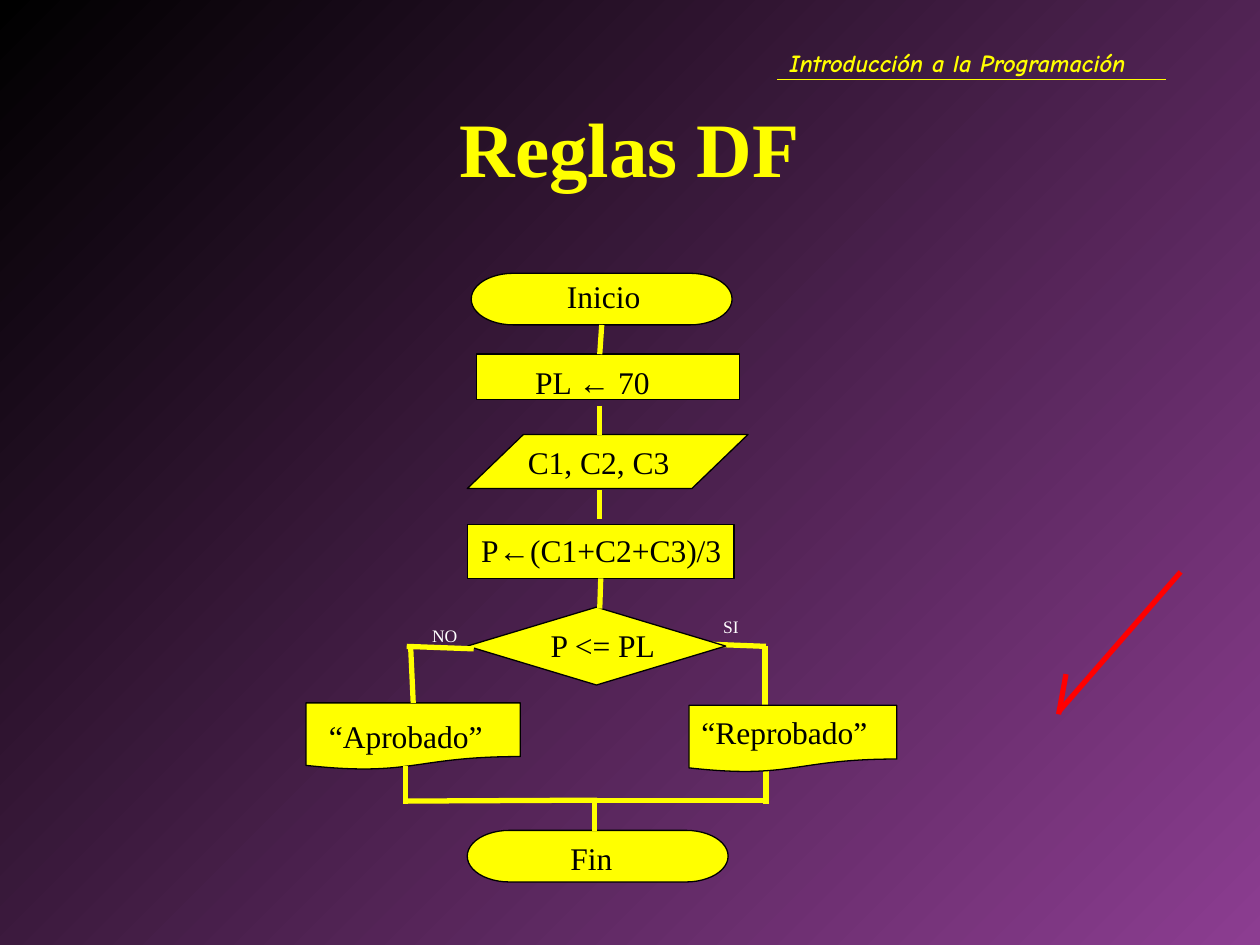
import pptx
import pptx.util
import pptx.dml.color
import pptx.enum.shapes
import pptx.enum.text
import pptx.oxml
import pptx.oxml.ns

Cm, Pt = pptx.util.Cm, pptx.util.Pt
Shape = pptx.enum.shapes.MSO_SHAPE
COLOURS = {
    name: pptx.dml.color.RGBColor.from_string(value)
    for name, value in {
        "yellow": "FFFF00", "black": "000000", "purple": "8C3D91",
        "white": "FFFFFF", "red": "FF0000",
    }.items()
}
SERIF = "Times New Roman"
TITLE = {"name": SERIF, "size": Pt(44), "bold": True}
HEADER = {"name": "Comic Neue", "size": Pt(14), "bold": True, "italic": True}
STEP = {"name": SERIF, "size": Pt(18)}
BRANCH = {"name": SERIF, "size": Pt(10)}


def write(frame, text, style, colour):
    """Fill a text frame, setting any arrow sign in Arial."""
    para = frame.paragraphs[0]
    for part in filter(None, text.partition("←")):
        span = para.add_run()
        span.text = part
        for name, value in style.items():
            setattr(span.font, name, value)
        if part == "←":
            span.font.name = "Arial"
        span.font.color.rgb = COLOURS[colour]


def draw_line(x1, y1, x2, y2, colour="yellow", width=3):
    line = page.shapes.add_connector(
        pptx.enum.shapes.MSO_CONNECTOR.STRAIGHT, Cm(x1), Cm(y1), Cm(x2), Cm(y2))
    line.line.color.rgb = COLOURS[colour]
    line.line.width = Pt(width)
    line._element.spPr.append(pptx.oxml.parse_xml(
        "<a:effectLst %s/>" % pptx.oxml.ns.nsdecls("a")))
    return line


deck = pptx.Presentation()
deck.slide_width, deck.slide_height = Cm(25.4), Cm(19.05)
page = deck.slides.add_slide(deck.slide_layouts[5])

# Diagonal background
background = page.background.fill
background.gradient()
background.gradient_angle = 315
for stop, colour, position in zip(background.gradient_stops, ("black", "purple"), (0, 1)):
    stop.color.rgb = COLOURS[colour]
    stop.position = position

# Title
title = page.shapes.title
title.left, title.top, title.width, title.height = Cm(1.9), Cm(1.7), Cm(21.59), Cm(2.51)
title.text_frame.vertical_anchor = pptx.enum.text.MSO_ANCHOR.MIDDLE
title.text_frame.paragraphs[0].alignment = pptx.enum.text.PP_ALIGN.CENTER
write(title.text_frame, "Reglas DF", TITLE, "yellow")

# Header rule and the "SI" branch, which lies behind the steps
draw_line(15.67, 1.6, 23.5, 1.6, width=0.75)
for ends in [
    (15.42, 13.03, 15.42, 14.22),
    (14.15, 12.98, 15.44, 13.03),
    (15.44, 15.49, 15.44, 16.21),
]:
    draw_line(*ends)

# Flowchart steps: outline, left, top, width, height
steps = {}
for name, outline, left, top, width, height in [
    ("start", Shape.FLOWCHART_TERMINATOR, 9.5, 5.51, 5.26, 1.04),
    ("limit", Shape.RECTANGLE, 9.6, 7.14, 5.31, 0.91),
    ("input", Shape.FLOWCHART_DATA, 9.42, 8.76, 5.66, 1.09),
    ("average", Shape.FLOWCHART_PROCESS, 9.42, 10.57, 5.38, 1.09),
    ("decision", Shape.FLOWCHART_DECISION, 9.42, 12.24, 5.21, 1.57),
    ("passed", Shape.FLOWCHART_DOCUMENT, 6.17, 14.17, 4.32, 1.35),
    ("failed", Shape.FLOWCHART_DOCUMENT, 13.89, 14.22, 4.19, 1.35),
    ("end", Shape.FLOWCHART_TERMINATOR, 9.42, 16.74, 5.26, 1.04),
]:
    step = page.shapes.add_shape(outline, Cm(left), Cm(top), Cm(width), Cm(height))
    step.shadow.inherit = False
    step.fill.solid()
    step.fill.fore_color.rgb = COLOURS["yellow"]
    step.line.color.rgb = COLOURS["black"]
    step.line.width = Pt(0.75)
    steps[name] = step

# Main flow
flow = [draw_line(12.09, top, 12.09, bottom) for top, bottom in
        [(6.53, 7.14), (8.18, 8.76), (9.88, 10.46), (11.68, 12.27)]]
flow[0].begin_connect(steps["start"], 2)
flow[3].begin_connect(steps["average"], 2)

# "NO" branch and the join before the end
draw_line(8.28, 13.08, 8.28, 14.17).end_connect(steps["passed"], 0)
for ends in [
    (8.2, 13.03, 9.55, 13.08),
    (8.18, 15.44, 8.18, 16.21),
    (8.13, 16.15, 12.04, 16.13),
    (11.71, 16.13, 15.44, 16.13),
    (11.99, 16.18, 11.99, 16.76),
]:
    draw_line(*ends)

# Header, step and branch texts
for text, left, top, width, height, style, colour in [
    ("Introducción a la Programación", 15.67, 0.84, 8.26, 0.86, HEADER, "yellow"),
    ("Inicio", 11.18, 5.46, 3.23, 1.02, STEP, "black"),
    ("PL ← 70", 10.54, 7.19, 3.68, 1.02, STEP, "black"),
    ("C1, C2, C3", 10.39, 8.81, 3.68, 1.02, STEP, "black"),
    ("P←(C1+C2+C3)/3", 9.45, 10.59, 5.44, 1.02, STEP, "black"),
    ("P <= PL", 10.85, 12.5, 3.68, 1.02, STEP, "black"),
    ("“Aprobado”", 6.38, 14.33, 3.86, 1.02, STEP, "black"),
    ("“Reprobado”", 13.89, 14.25, 4.09, 1.02, STEP, "black"),
    ("Fin", 11.25, 16.79, 3.23, 1.02, STEP, "black"),
    ("NO", 8.46, 12.47, 1.19, 0.69, BRANCH, "white"),
    ("SI", 14.33, 12.29, 1.19, 0.69, BRANCH, "white"),
]:
    box = page.shapes.add_textbox(Cm(left), Cm(top), Cm(width), Cm(height))
    box.text_frame.word_wrap = True
    box.text_frame.auto_size = pptx.enum.text.MSO_AUTO_SIZE.SHAPE_TO_FIT_TEXT
    write(box.text_frame, text, style, colour)

# Red tick
draw_line(21.34, 14.35, 23.8, 11.53, "red")
draw_line(21.49, 13.59, 21.34, 14.4, "red")

deck.save("out.pptx")
